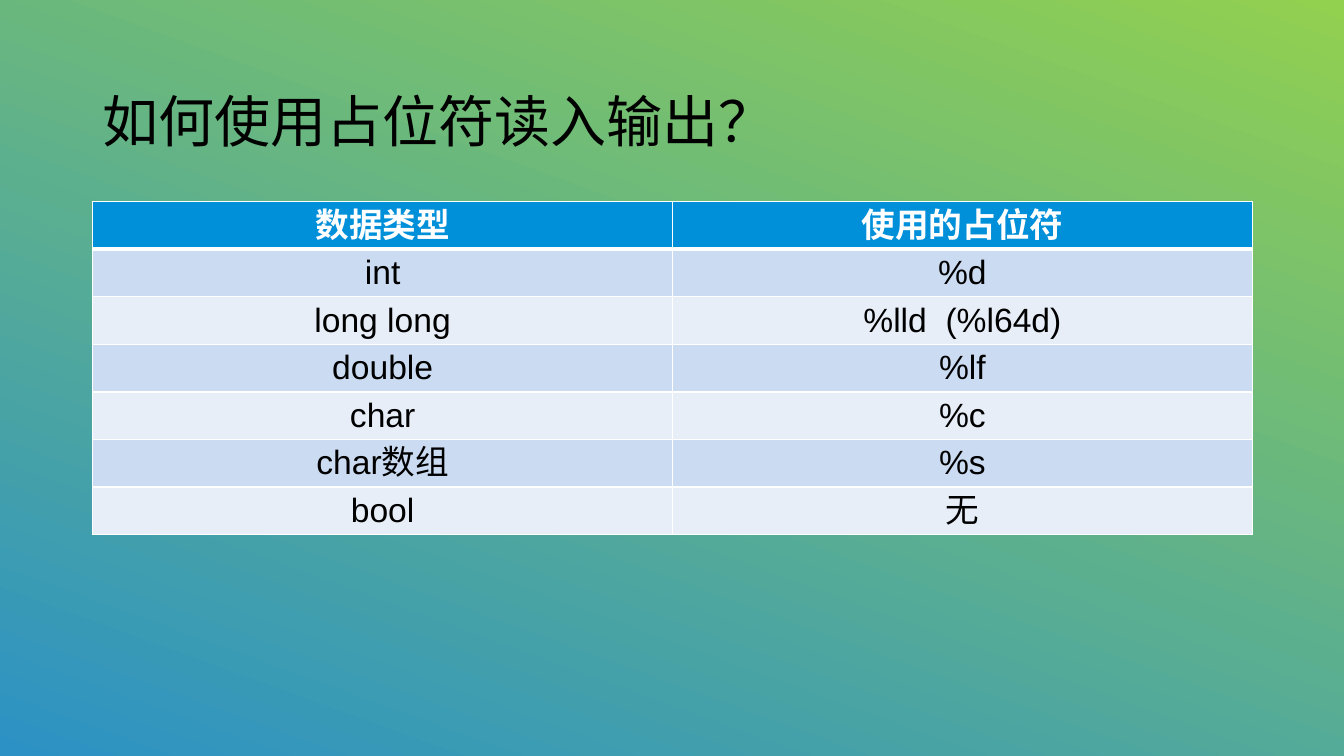
from dataclasses import dataclass

from lxml.etree import SubElement
from pptx import Presentation
from pptx.dml.color import RGBColor as RGB
from pptx.enum.text import MSO_ANCHOR as Anchor, MSO_AUTO_SIZE as AutoSize, PP_ALIGN as Align
from pptx.oxml.ns import qn
from pptx.util import Inches, Pt


@dataclass(frozen=True)
class Theme:
    font: str = "Arial"
    title_size: int = 40
    table_size: int = 24
    ink: str = "000000"
    white: str = "FFFFFF"
    header: str = "008FD9"
    bands: tuple = ("CBDBF1", "E7EEF8")
    backdrop: tuple = ("92D050", "2C92C5")
    thin: int = 1
    thick: int = 3


THEME = Theme()
WIDTH, HEIGHT = Inches(13.33), Inches(7.5)
MARGIN = Inches(0.92)
CONTENT_WIDTH = Inches(11.5)
ROW_HEIGHTS = (0.42, 0.46, 0.42, 0.42, 0.39, 0.42, 0.42)

TITLE = "如何使用占位符读入输出？"
PLACEHOLDERS = (
    ("数据类型", "使用的占位符"),
    ("int", "%d"),
    ("long long", "%lld  (%l64d)"),
    ("double", "%lf"),
    ("char", "%c"),
    ("char数组", "%s"),
    ("bool", "无"),
)


def write(frame, text, *, size, color=THEME.ink, bold=False, align=Align.LEFT, spacing=None):
    paragraph = frame.paragraphs[0]
    paragraph.alignment = align
    if spacing:
        paragraph.line_spacing = spacing
    run = paragraph.add_run()
    run.text = text
    font = run.font
    font.name, font.size, font.bold = THEME.font, Pt(size), bold
    font.color.rgb = RGB.from_string(color)
    # Chinese glyphs follow the same font setting
    SubElement(font._element, qn("a:ea"), typeface=THEME.font)


def paint_background(slide):
    fill = slide.background.fill
    fill.gradient()
    fill.gradient_angle = 250
    for stop, color in zip(fill.gradient_stops, THEME.backdrop):
        stop.color.rgb = RGB.from_string(color)


def place_title(slide):
    title = slide.shapes.title
    title.left, title.top = MARGIN, Inches(0.4)
    title.width, title.height = CONTENT_WIDTH, Inches(1.45)
    frame = title.text_frame
    frame.word_wrap = True
    frame.auto_size = AutoSize.NONE
    frame.vertical_anchor = Anchor.MIDDLE
    write(frame, TITLE, size=THEME.title_size, spacing=1.2)


def add_borders(cell, **widths):
    properties = cell._tc.get_or_add_tcPr()
    for side in ("L", "R", "T", "B"):
        width = Pt(widths.get(side, THEME.thin))
        line = SubElement(properties, qn(f"a:ln{side}"), w=str(width))
        SubElement(SubElement(line, qn("a:solidFill")), qn("a:srgbClr"), val=THEME.white)


def format_cell(cell, text, row):
    is_header = row == 0
    # Borders precede the fill in the cell properties
    if is_header:
        add_borders(cell, B=THEME.thick)
    elif row == 1:
        add_borders(cell, T=THEME.thick)
    else:
        add_borders(cell)
    cell.fill.solid()
    background = THEME.header if is_header else THEME.bands[(row - 1) % 2]
    cell.fill.fore_color.rgb = RGB.from_string(background)
    write(cell.text_frame, text, size=THEME.table_size, bold=is_header, align=Align.CENTER,
          color=THEME.white if is_header else THEME.ink)


def add_placeholder_table(slide):
    columns = len(PLACEHOLDERS[0])
    table = slide.shapes.add_table(len(PLACEHOLDERS), columns, MARGIN, Inches(2),
                                   CONTENT_WIDTH, Inches(sum(ROW_HEIGHTS))).table
    for column in table.columns:
        column.width = CONTENT_WIDTH // columns
    for row, (entries, height) in enumerate(zip(PLACEHOLDERS, ROW_HEIGHTS)):
        table.rows[row].height = Inches(height)
        for column, text in enumerate(entries):
            format_cell(table.cell(row, column), text, row)


def main():
    deck = Presentation()
    deck.slide_width, deck.slide_height = WIDTH, HEIGHT
    # Title-only layout
    slide = deck.slides.add_slide(deck.slide_layouts[5])
    paint_background(slide)
    place_title(slide)
    add_placeholder_table(slide)
    deck.save("out.pptx")


if __name__ == "__main__":
    main()
